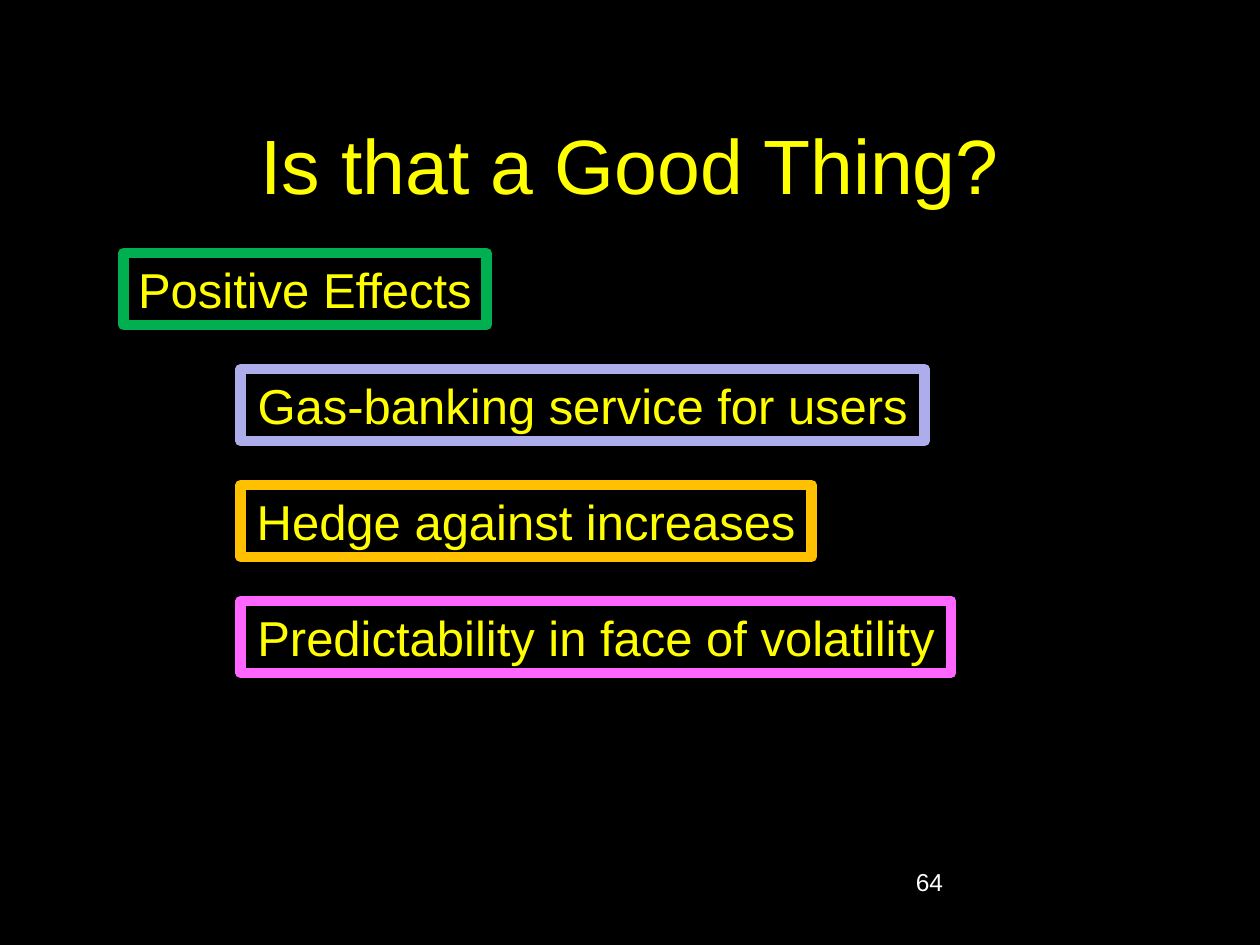
import pptx
import pptx.util
import pptx.dml.color
import pptx.enum.shapes
import pptx.enum.text

Inches = pptx.util.Inches
RGBColor = pptx.dml.color.RGBColor
Align = pptx.enum.text.PP_ALIGN
Anchor = pptx.enum.text.MSO_ANCHOR

BLACK = RGBColor(0x00, 0x00, 0x00)
WHITE = RGBColor(0xFF, 0xFF, 0xFF)
YELLOW = RGBColor(0xFF, 0xFF, 0x00)
GREEN = RGBColor(0x00, 0xB0, 0x50)
LAVENDER = RGBColor(0xAD, 0xAD, 0xEB)
ORANGE = RGBColor(0xFF, 0xC0, 0x00)
PINK = RGBColor(0xFF, 0x66, 0xFF)

FIRST_TOP = 2.01
ROW_STEP = 0.92
BOX_HEIGHT = 0.57

# Text, left, width, outline colour
EFFECTS = [
    ("Positive Effects", 0.98, 2.88, GREEN),
    ("Gas-banking service for users", 1.91, 5.43, LAVENDER),
    ("Hedge against increases", 1.91, 4.53, ORANGE),
    ("Predictability in face of volatility", 1.91, 5.64, PINK),
]


def write_text(shape, text, size, color, align, anchor):
    frame = shape.text_frame
    frame.text = text
    frame.vertical_anchor = anchor
    para = frame.paragraphs[0]
    para.alignment = align
    font = para.runs[0].font
    font.name = "Arial"
    font.size = pptx.util.Pt(size)
    font.color.rgb = color


def add_label(page, left, top, width, height, text, size, color, align, anchor):
    box = page.shapes.add_textbox(
        Inches(left), Inches(top), Inches(width), Inches(height))
    box.text_frame.word_wrap = True
    write_text(box, text, size, color, align, anchor)


def add_effect(page, left, top, width, text, outline):
    box = page.shapes.add_shape(
        pptx.enum.shapes.MSO_SHAPE.RECTANGLE,
        Inches(left), Inches(top), Inches(width), Inches(BOX_HEIGHT))
    box.shadow.inherit = False
    box.fill.solid()
    box.fill.fore_color.rgb = BLACK
    box.line.color.rgb = outline
    box.line.width = pptx.util.Pt(6)
    write_text(box, text, 28, YELLOW, Align.CENTER, Anchor.TOP)
    box.text_frame.word_wrap = False
    box.text_frame.auto_size = pptx.enum.text.MSO_AUTO_SIZE.SHAPE_TO_FIT_TEXT


def main():
    deck = pptx.Presentation()
    deck.slide_width = Inches(10)
    deck.slide_height = Inches(7.5)
    page = deck.slides.add_slide(deck.slide_layouts[6])
    page.background.fill.solid()
    page.background.fill.fore_color.rgb = BLACK

    # Title and page number
    add_label(page, 0.75, 0.67, 8.5, 1.25, "Is that a Good Thing?",
              44, YELLOW, Align.CENTER, Anchor.MIDDLE)
    add_label(page, 7.17, 6.83, 2.08, 0.5, "64",
              14, WHITE, Align.LEFT, Anchor.TOP)

    # Heading box and the effects below it
    for row, (text, left, width, outline) in enumerate(EFFECTS):
        add_effect(page, left, FIRST_TOP + row * ROW_STEP, width, text, outline)

    deck.save("out.pptx")


if __name__ == "__main__":
    main()
